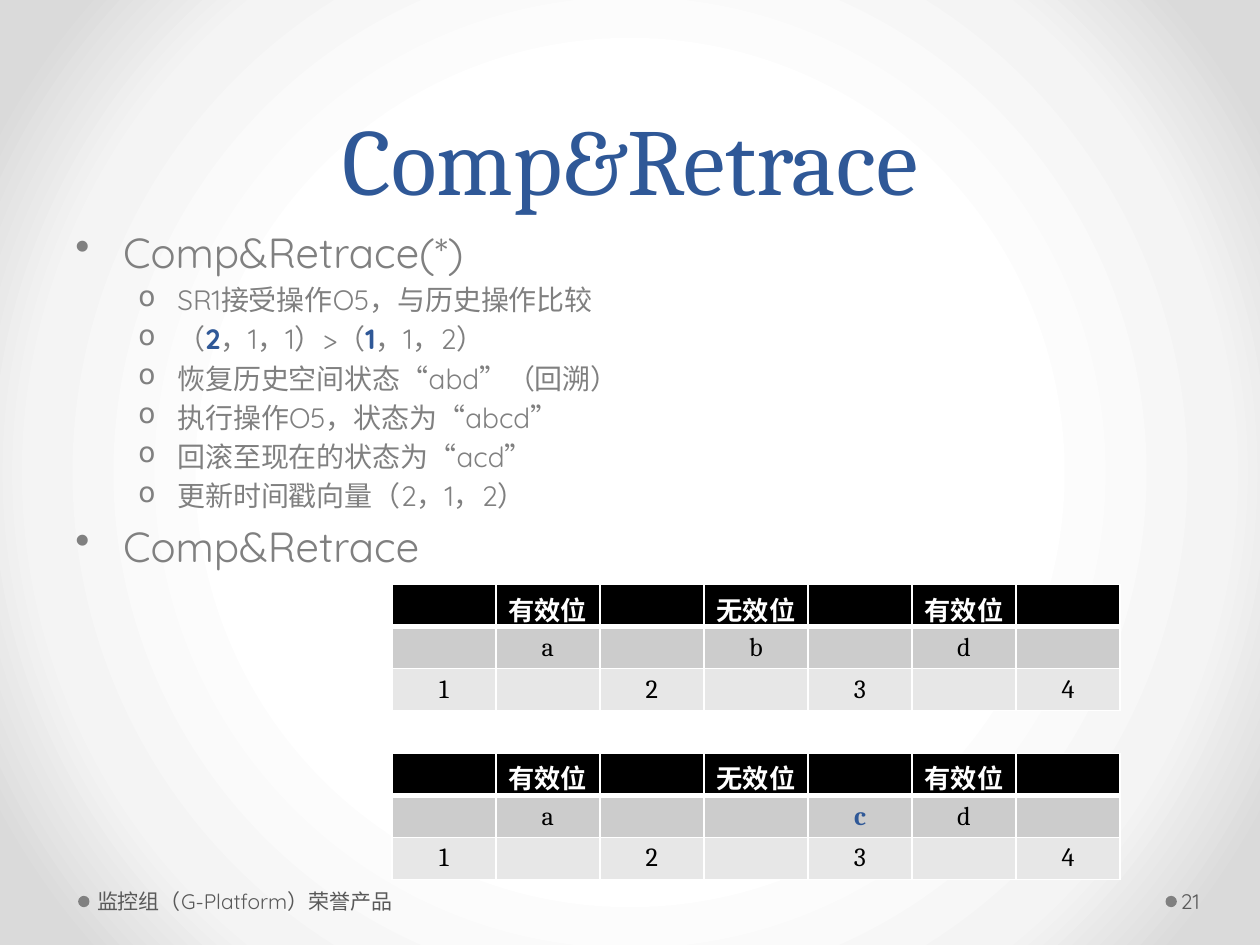
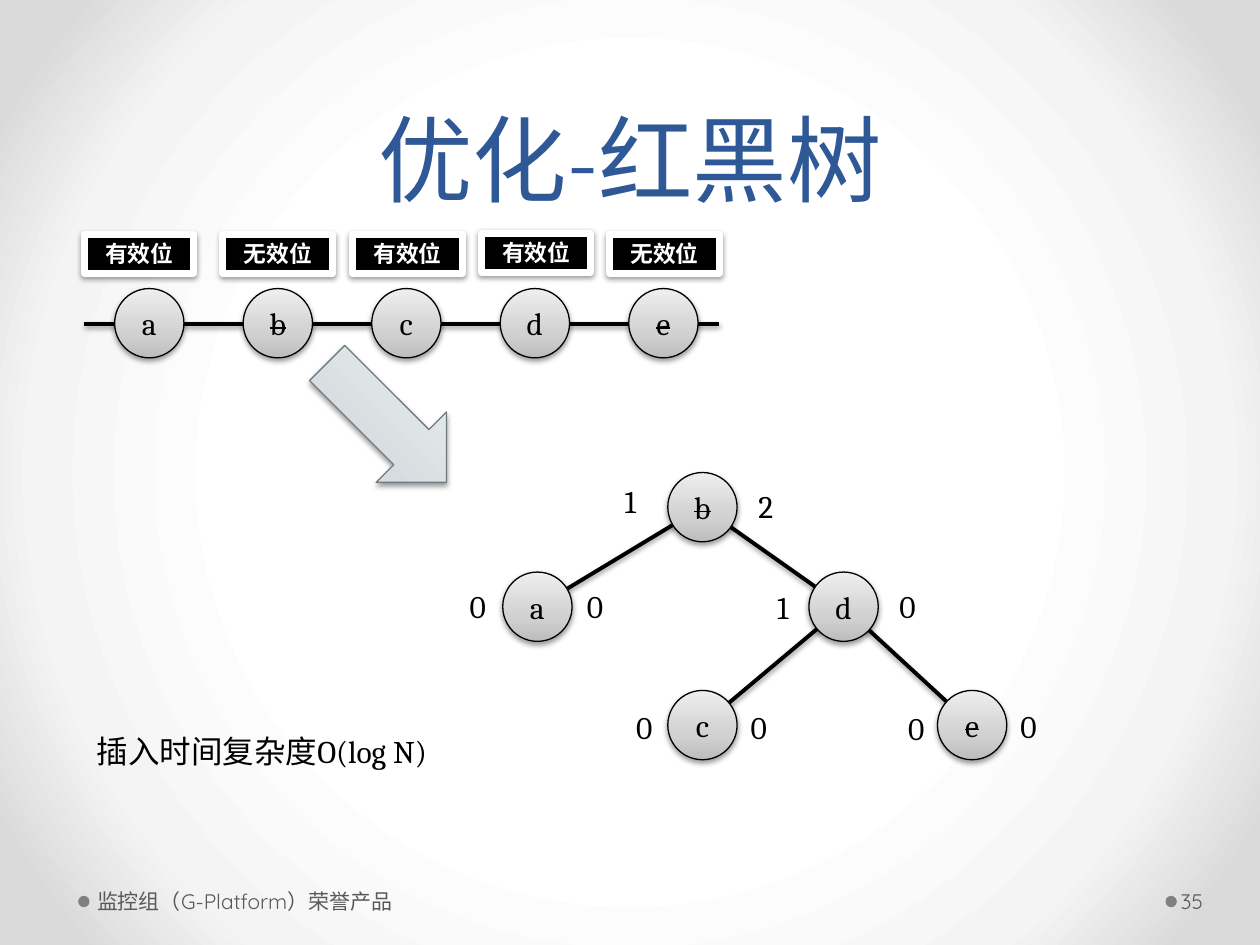
from dataclasses import dataclass

from lxml.etree import SubElement
from pptx import Presentation
from pptx.dml.color import RGBColor
from pptx.enum.shapes import MSO_CONNECTOR, MSO_SHAPE
from pptx.enum.text import MSO_ANCHOR, MSO_AUTO_SIZE, PP_ALIGN
from pptx.oxml.ns import qn
from pptx.util import Emu, Inches, Pt


@dataclass(frozen=True)
class Theme:
    serif: str = "Cambria"
    sans: str = "Quicksand"
    accent: str = "2F5897"
    body: str = "808080"
    footer: str = "595959"
    black: str = "000000"
    white: str = "FFFFFF"
    row_fills: tuple = ("000000", "CCCCCC", "E7E7E7")
    arrow_line: str = "727D82"
    backdrop: tuple = ((50, "FFFFFF"), (76, "F4F4F4"), (92, "DADADA"))
    node_fill: tuple = ((0, "BDBDBD"), (35, "D1D1D1"), (100, "EEEEEE"))
    arrow_fill: tuple = ((0, "C5CED2"), (35, "D6DCDF"), (100, "EFF2F3"))
    title_size: float = 54
    body_sizes: tuple = (24, 16)
    table_size: float = 15
    text_size: float = 18
    label_size: float = 13
    footer_size: float = 12


THEME = Theme()

FOOTER = "监控组（G-Platform）荣誉产品"
FOOTER_DOTS = (0.62, 9.25)

RETRACE_TITLE = "Comp&Retrace"
RETRACE_STEPS = [
    (0, "Comp&Retrace(*)"),
    (1, "SR1接受操作O5，与历史操作比较"),
    (1, "（|2|，1，1）>（|1|，1，2）"),
    (1, "恢复历史空间状态“abd”（回溯）"),
    (1, "执行操作O5，状态为“abcd”"),
    (1, "回滚至现在的状态为“acd”"),
    (1, "更新时间戳向量（2，1，2）"),
    (0, "Comp&Retrace"),
]
VALIDITY = ["", "有效位", "", "无效位", "", "有效位", ""]
POSITIONS = ["1", "", "2", "", "3", "", "4"]
STATE_TABLES = [
    (4.64, ["", "a", "", "b", "", "d", ""]),
    (5.98, ["", "a", "", "", "c", "d", ""]),
]
INSERTED = "c"

TREE_TITLE = "优化-红黑树"
COMPLEXITY = "插入时间复杂度O(log N)"
DELETED = {"b", "e"}
LIST_NODES = [
    ("a", "有效位", 0.67, 1.86),
    ("b", "无效位", 1.77, 1.86),
    ("c", "有效位", 2.8, 1.86),
    ("d", "有效位", 3.82, 1.85),
    ("e", "无效位", 4.84, 1.86),
]
TREE_NODES = {
    "b": (5.3, 3.75),
    "a": (3.99, 4.54),
    "d": (6.42, 4.54),
    "c": (5.3, 5.48),
    "e": (7.44, 5.48),
}
TREE_EDGES = ["cd", "ed", "db", "ab"]
COUNTS = [
    ("1", 4.86, 3.78), ("2", 5.92, 3.82),
    ("0", 3.63, 4.61), ("0", 4.56, 4.61),
    ("1", 6.07, 4.62), ("0", 7.04, 4.61),
    ("0", 4.95, 5.57), ("0", 5.86, 5.57),
    ("0", 7.11, 5.58), ("0", 8, 5.56),
]
NODE_SIZE = 0.55
LIST_LEFT, LIST_TOP, LIST_STEP = 0.91, 2.29, 1.02


def color(value):
    return RGBColor.from_string(value)


def format_run(run, font, size, value, bold=False):
    run.font.name = font
    run.font.size = Pt(size)
    run.font.color.rgb = color(value)
    run.font.bold = bold


def set_gradient(fill, element, stops, radial=False):
    fill.gradient()
    gradient = next(element.iter(qn("a:gradFill")))
    for child in list(gradient):
        gradient.remove(child)
    gradient.set("rotWithShape", "1")
    stop_list = SubElement(gradient, qn("a:gsLst"))
    for position, value in stops:
        stop = SubElement(stop_list, qn("a:gs"), pos=str(position * 1000))
        SubElement(stop, qn("a:srgbClr"), val=value)
    if radial:
        shade = SubElement(gradient, qn("a:path"))
        shade.set("path", "circle")
        SubElement(shade, qn("a:fillToRect"), l="50000", t="50000", r="50000", b="50000")
    else:
        SubElement(gradient, qn("a:lin"), ang="16200000", scaled="0")


def add_shadow(shape):
    effects = SubElement(shape.element.spPr, qn("a:effectLst"))
    shadow = SubElement(effects, qn("a:outerShdw"), blurRad=str(Pt(3.1)),
                        dist=str(Pt(1.6)), dir="5400000", rotWithShape="0")
    shadow_color = SubElement(shadow, qn("a:srgbClr"), val=THEME.black)
    SubElement(shadow_color, qn("a:alpha"), val="38000")


def add_text(slide, text, box, font, size, value, anchor=MSO_ANCHOR.TOP,
             insets=(0.1, 0.05, 0.1, 0.05), wrap=True):
    shape = slide.shapes.add_textbox(*map(Inches, box))
    frame = shape.text_frame
    frame.text = text
    frame.word_wrap = wrap
    frame.auto_size = MSO_AUTO_SIZE.NONE if wrap else MSO_AUTO_SIZE.SHAPE_TO_FIT_TEXT
    frame.vertical_anchor = anchor
    frame.margin_left, frame.margin_top, frame.margin_right, frame.margin_bottom = map(Inches, insets)
    format_run(frame.paragraphs[0].runs[0], font, size, value)
    return shape


def add_note(slide, text, left, top, width=0.33):
    add_text(slide, text, (left, top, width, 0.4), THEME.serif,
             THEME.text_size, THEME.black, wrap=False)


def add_base_slide(presentation, title, number):
    slide = presentation.slides.add_slide(presentation.slide_layouts[6])
    set_gradient(slide.background.fill, slide.element, THEME.backdrop, radial=True)
    for left in FOOTER_DOTS:
        dot = slide.shapes.add_shape(MSO_SHAPE.OVAL, Inches(left), Inches(7.11),
                                     Inches(0.09), Inches(0.09))
        dot.shadow.inherit = False
        dot.fill.solid()
        dot.fill.fore_color.rgb = color(THEME.body)
        dot.line.fill.background()
    heading = add_text(slide, title, (0.5, 0, 9, 1.75), THEME.serif,
                       THEME.title_size, THEME.accent, MSO_ANCHOR.BOTTOM)
    paragraph = heading.text_frame.paragraphs[0]
    paragraph.alignment = PP_ALIGN.CENTER
    paragraph.line_spacing = Pt(58)
    for text, box, insets in [
        (FOOTER, (0.72, 6.95, 3.11, 0.4), (0.05, 0.05, 0.1, 0.05)),
        (str(number), (9.34, 6.95, 0.61, 0.4), (0.03, 0.05, 0.05, 0.05)),
    ]:
        add_text(slide, text, box, THEME.sans, THEME.footer_size,
                 THEME.footer, MSO_ANCHOR.MIDDLE, insets)
    return slide


def add_steps(slide):
    shape = slide.shapes.add_textbox(Inches(0.5), Inches(1.75), Inches(9), Inches(4.95))
    frame = shape.text_frame
    frame.word_wrap = True
    for index, (level, text) in enumerate(RETRACE_STEPS):
        paragraph = frame.add_paragraph() if index else frame.paragraphs[0]
        paragraph.level = level
        for part, words in enumerate(text.split("|")):
            run = paragraph.add_run()
            run.text = words
            marked = part % 2 == 1
            format_run(run, THEME.sans, THEME.body_sizes[level],
                       THEME.accent if marked else THEME.body, marked)
        margin, indent, bullet = [(0.38, -0.38, "•"), (0.81, -0.31, "o")][level]
        properties = paragraph._p.get_or_add_pPr()
        properties.set("marL", str(Inches(margin)))
        properties.set("indent", str(Inches(indent)))
        space = SubElement(properties, qn("a:spcBef"))
        SubElement(space, qn("a:spcPct"), val="20000")
        SubElement(properties, qn("a:buChar"), char=bullet)


def set_borders(cell, header):
    properties = cell._tc.get_or_add_tcPr()
    for side in ("lnL", "lnR", "lnT", "lnB"):
        width = 3 if header and side == "lnB" else 1
        border = SubElement(properties, qn(f"a:{side}"), w=str(Pt(width)))
        fill = SubElement(border, qn("a:solidFill"))
        SubElement(fill, qn("a:srgbClr"), val=THEME.white)


def add_state_table(slide, top, state):
    rows = [VALIDITY, state, POSITIONS]
    table = slide.shapes.add_table(len(rows), len(state), Inches(3.11), Inches(top),
                                   Inches(5.78), Inches(1)).table
    for row_index, texts in enumerate(rows):
        header = row_index == 0
        for column_index, text in enumerate(texts):
            cell = table.cell(row_index, column_index)
            cell.margin_left = cell.margin_right = Inches(0.08)
            cell.margin_top = cell.margin_bottom = Inches(0.04)
            cell.vertical_anchor = MSO_ANCHOR.MIDDLE
            set_borders(cell, header)
            cell.fill.solid()
            cell.fill.fore_color.rgb = color(THEME.row_fills[row_index])
            paragraph = cell.text_frame.paragraphs[0]
            paragraph.alignment = PP_ALIGN.CENTER
            if text:
                paragraph.text = text
                value = (THEME.white if header else
                         THEME.accent if text == INSERTED else THEME.black)
                format_run(paragraph.runs[0], THEME.serif, THEME.table_size,
                           value, header or text == INSERTED)
            else:
                SubElement(paragraph._p, qn("a:endParaRPr"), sz=str(THEME.table_size * 100))


def add_figure(slide, kind, box, fill, line, line_width, text="",
               size=THEME.text_size, value=THEME.black, bold=False):
    shape = slide.shapes.add_shape(kind, *map(Inches, box))
    if isinstance(fill, str):
        shape.fill.solid()
        shape.fill.fore_color.rgb = color(fill)
    else:
        set_gradient(shape.fill, shape.element, fill)
    shape.line.color.rgb = color(line)
    shape.line.width = Pt(line_width)
    add_shadow(shape)
    if text:
        frame = shape.text_frame
        frame.text = text
        frame.vertical_anchor = MSO_ANCHOR.MIDDLE
        frame.paragraphs[0].alignment = PP_ALIGN.CENTER
        format_run(frame.paragraphs[0].runs[0], THEME.serif, size, value, bold)
    return shape


def add_node(slide, letter, left, top):
    node = add_figure(slide, MSO_SHAPE.OVAL, (left, top, NODE_SIZE, NODE_SIZE),
                      THEME.node_fill, THEME.black, 0.75, letter)
    if letter in DELETED:
        node.text_frame.paragraphs[0].runs[0].font._element.set("strike", "sngStrike")


def add_link(slide, start, end):
    link = slide.shapes.add_connector(MSO_CONNECTOR.STRAIGHT, *map(Inches, start + end))
    link.line.color.rgb = color(THEME.black)
    link.line.width = Pt(2.25)
    add_shadow(link)


def node_center(letter):
    return tuple(edge + NODE_SIZE / 2 for edge in TREE_NODES[letter])


def build_retrace_slide(presentation):
    slide = add_base_slide(presentation, RETRACE_TITLE, 21)
    add_steps(slide)
    for top, state in STATE_TABLES:
        add_state_table(slide, top, state)


def build_tree_slide(presentation):
    slide = add_base_slide(presentation, TREE_TITLE, 35)
    for child, parent in TREE_EDGES:
        add_link(slide, node_center(child), node_center(parent))
    add_link(slide, (0.67, 2.57), (5.71, 2.57))
    for index, (letter, label, label_left, label_top) in enumerate(LIST_NODES):
        add_node(slide, letter, LIST_LEFT + index * LIST_STEP, LIST_TOP)
        add_figure(slide, MSO_SHAPE.RECTANGLE, (label_left, label_top, 0.87, 0.31),
                   THEME.black, THEME.white, 4, label, THEME.label_size, THEME.white, True)
    arrow = add_figure(slide, MSO_SHAPE.RIGHT_ARROW, (2.4, 2.96, 1.34, 0.79),
                       THEME.arrow_fill, THEME.arrow_line, 0.75)
    arrow.rotation = 45
    for letter, (left, top) in TREE_NODES.items():
        add_node(slide, letter, left, top)
    add_note(slide, COMPLEXITY, 0.67, 5.76, 2.96)
    for count, left, top in COUNTS:
        add_note(slide, count, left, top)


def main():
    presentation = Presentation()
    presentation.slide_width = Emu(Inches(10))
    presentation.slide_height = Emu(Inches(7.5))
    build_retrace_slide(presentation)
    build_tree_slide(presentation)
    presentation.save("out.pptx")


if __name__ == "__main__":
    main()
